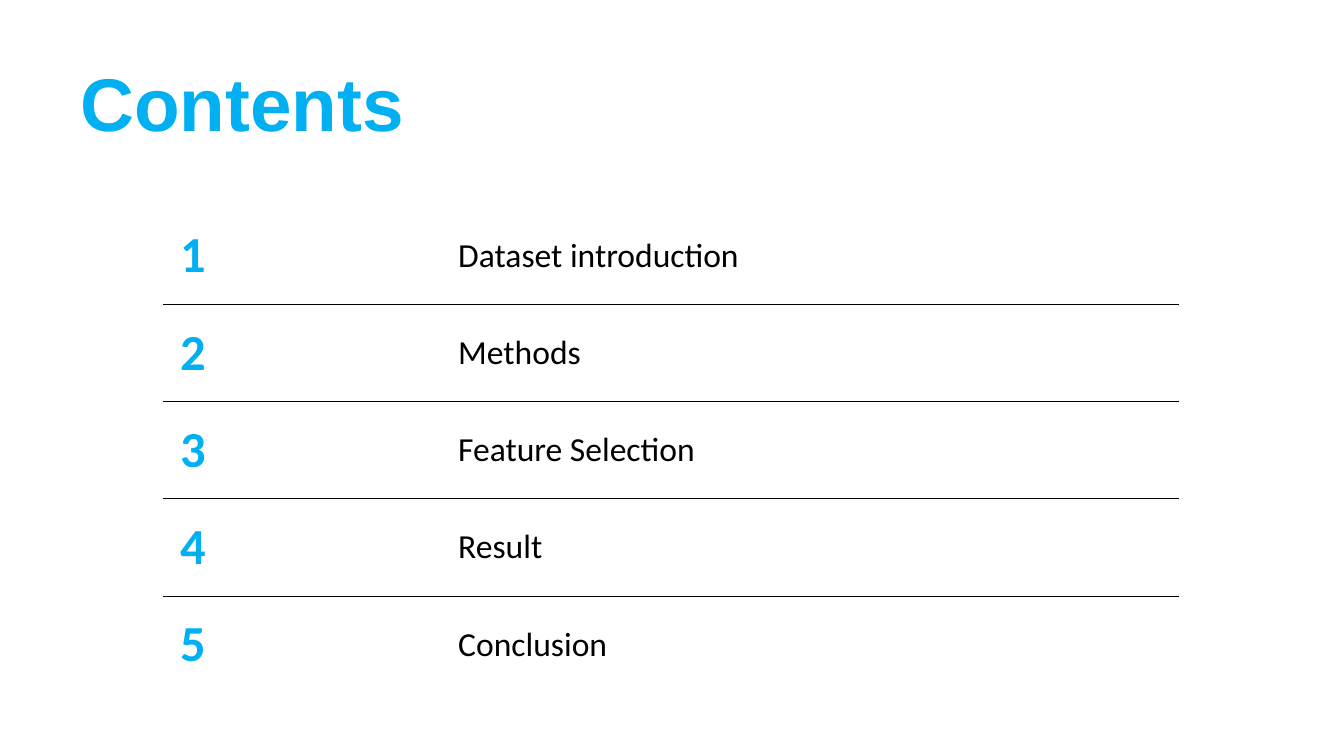
"""Build a contents slide with a numbered, ruled table of sections."""
from lxml import etree
from pptx import Presentation
from pptx.dml.color import RGBColor
from pptx.enum.text import MSO_ANCHOR
from pptx.oxml.ns import qn
from pptx.util import Inches, Pt

TOP, MIDDLE = MSO_ANCHOR.TOP, MSO_ANCHOR.MIDDLE
SKY = RGBColor(0x00, 0xB0, 0xF0)
BLACK = RGBColor(0x00, 0x00, 0x00)
TITLE = {"name": "Arial", "size": Pt(40), "bold": True}
NUMBER = {"name": "Calibri", "size": Pt(27), "bold": True}
LABEL = {"name": "Calibri", "size": Pt(18), "bold": False}
SECTIONS = ["Dataset introduction", "Methods", "Feature Selection", "Result", "Conclusion"]


def set_margins(target, across, down):
    target.margin_left = target.margin_right = across
    target.margin_top = target.margin_bottom = down


def write(frame, text, look, color):
    para = frame.paragraphs[0]
    span = para.add_run()
    span.text = text
    for name, value in look.items():
        setattr(span.font, name, value)
    span.font.color.rgb = color
    return para


def add_title(page, text):
    box = page.shapes.add_textbox(Inches(0.5), Inches(0.45), Inches(8.98), Inches(0.93))
    frame = box.text_frame
    frame.word_wrap = True
    frame.vertical_anchor = TOP
    set_margins(frame, Inches(0.1), Inches(0.05))
    write(frame, text, TITLE, SKY).line_spacing = 0.9


def add_rule(cell, tag):
    properties = cell._tc.get_or_add_tcPr()
    line = etree.SubElement(properties, qn(tag), w=str(Pt(0.5)))
    fill = etree.SubElement(line, qn("a:solidFill"))
    etree.SubElement(fill, qn("a:srgbClr"), val=str(BLACK))


def fill_cell(cell, text, look, color, rules):
    for tag in rules:
        add_rule(cell, tag)
    cell.fill.background()
    cell.vertical_anchor = MIDDLE
    set_margins(cell, Inches(0.12), Inches(0.12))
    write(cell.text_frame, text, look, color)


def add_contents(page, sections):
    count = len(sections)
    widths = [Inches(2.07), Inches(5.48)]
    holder = page.shapes.add_table(
        count, len(widths), Inches(1.22), Inches(1.54), sum(widths), Inches(3.62))
    table = holder.table
    table.first_row = table.horz_banding = False
    for column, width in zip(table.columns, widths):
        column.width = width
    for row, section in enumerate(sections):
        rules = ["a:lnT"] * (row > 0) + ["a:lnB"] * (row < count - 1)
        fill_cell(table.cell(row, 0), str(row + 1), NUMBER, SKY, rules)
        fill_cell(table.cell(row, 1), section, LABEL, BLACK, rules)


def main():
    deck = Presentation()
    deck.slide_width = Inches(10)
    deck.slide_height = deck.slide_width * 9 // 16
    page = deck.slides.add_slide(deck.slide_layouts[6])
    add_title(page, "Contents")
    add_contents(page, SECTIONS)
    deck.save("out.pptx")


if __name__ == "__main__":
    main()
